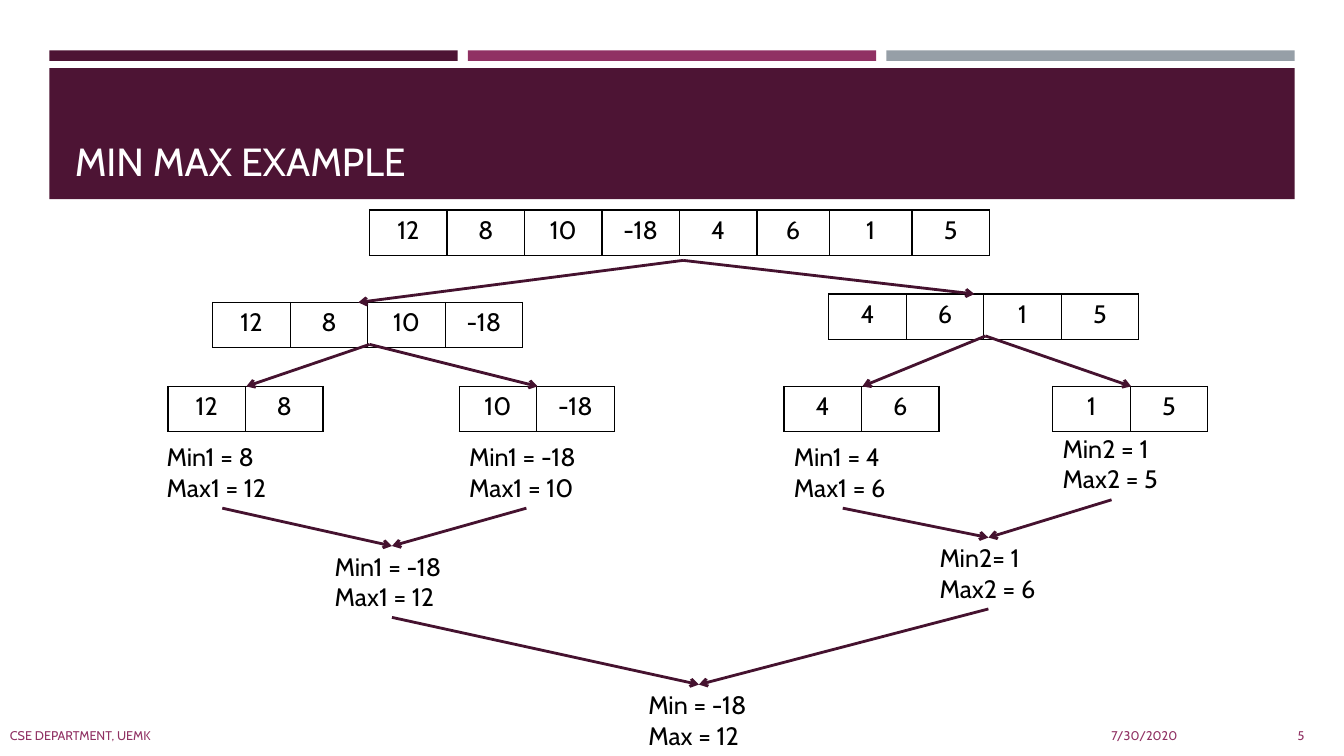
from collections import namedtuple
from lxml.etree import SubElement
from pptx import Presentation
from pptx.dml.color import RGBColor
from pptx.enum.shapes import MSO_CONNECTOR as Link, MSO_SHAPE as Shape
from pptx.enum.text import MSO_ANCHOR as Anchor, MSO_AUTO_SIZE as Fit, PP_ALIGN as Align
from pptx.oxml.ns import qn
from pptx.util import Inches, Pt

PLUM = RGBColor(0x4D, 0x14, 0x34)
ROSE = RGBColor(0x90, 0x31, 0x63)
GREY = RGBColor(0x96, 0x9F, 0xA7)
WINE = RGBColor(0x45, 0x12, 0x2F)
BLACK = RGBColor(0, 0, 0)
WHITE = RGBColor(255, 255, 255)
FONT = "Cabin"

# The slide is a grid of 120 columns by 90 rows.
WIDE, HIGH = Inches(13.333), Inches(7.5)
COL, ROW = WIDE / 120, HIGH / 90
CELL_W, CELL_H = 6.92, 5.4
NOTE_H = 8.5

Box = namedtuple("Box", "x y w h")


def emu(box):
    return [round(n * u) for n, u in zip(box, (COL, ROW, COL, ROW))]


def write(para, text, size, color, align=Align.LEFT):
    para.alignment = align
    run = para.add_run()
    run.text = text
    run.font.name, run.font.size = FONT, Pt(size)
    run.font.color.rgb = color


def bar(slide, box, color):
    rect = slide.shapes.add_shape(Shape.RECTANGLE, *emu(box))
    rect.shadow.inherit = False
    rect.fill.solid()
    rect.fill.fore_color.rgb = color
    rect.line.fill.background()


def label(slide, box, text, size, color, anchor, align=Align.LEFT):
    frame = slide.shapes.add_textbox(*emu(box)).text_frame
    frame.word_wrap = True
    frame.vertical_anchor = anchor
    write(frame.paragraphs[0], text, size, color, align)


def frame_cell(cell):
    """Draw a thin black border on all four sides of a cell."""
    props = cell._tc.get_or_add_tcPr()
    for side in ("a:lnL", "a:lnR", "a:lnT", "a:lnB"):
        line = SubElement(props, qn(side), w=str(Pt(1)))
        fill = SubElement(line, qn("a:solidFill"))
        SubElement(fill, qn("a:srgbClr"), val=str(BLACK))


def array(slide, x, y, values, widths=None):
    widths = widths or [CELL_W] * len(values)
    box = Box(x, y, sum(widths), CELL_H)
    table = slide.shapes.add_table(1, len(values), *emu(box)).table
    table.first_row = table.horz_banding = False
    for col, width in zip(table.columns, widths):
        col.width = round(width * COL)
    for cell, value in zip(table.rows[0].cells, values):
        frame_cell(cell)
        cell.fill.background()
        cell.margin_left = cell.margin_right = Inches(0.13)
        cell.margin_top = cell.margin_bottom = Inches(0.05)
        write(cell.text_frame.paragraphs[0], str(value), 18, BLACK, Align.CENTER)


def note(slide, x, y, width, low, high):
    shape = slide.shapes.add_textbox(*emu(Box(x, y, width, NOTE_H)))
    frame = shape.text_frame
    frame.word_wrap = False
    frame.auto_size = Fit.SHAPE_TO_FIT_TEXT
    write(frame.paragraphs[0], low, 18, BLACK)
    write(frame.add_paragraph(), high, 18, BLACK)
    return shape


def arrow(slide, x1=0, y1=0, x2=0, y2=0):
    link = slide.shapes.add_connector(Link.STRAIGHT, *emu((x1, y1, x2, y2)))
    link.line.color.rgb = WINE
    link.line.width = Pt(2)
    SubElement(link.line._get_or_add_ln(), qn("a:tailEnd"), type="arrow")
    SubElement(link._element.spPr, qn("a:effectLst"))
    return link


def merge(slide, parts, result):
    """Lead an arrow from the foot of each part to the head of the result."""
    for part in parts:
        link = arrow(slide)
        link.begin_connect(part, 2)
        link.end_connect(result, 0)


def header(slide, box):
    gap = 0.9
    width = (box.w - 2 * gap) / 3
    for i, color in enumerate((PLUM, ROSE, GREY)):
        bar(slide, Box(box.x + i * (width + gap), box.y, width, 1.25), color)
    band = Box(box.x, box.y + 2.1, box.w, box.h - 2.1)
    bar(slide, band, PLUM)
    title = Box(band.x + 1.4, band.y + 1.1, band.w - 2.8, band.h - 2.3)
    label(slide, title, "MIN MAX EXAMPLE", 28, WHITE, Anchor.BOTTOM)


def footer(slide, box):
    parts = (
        (0, 68, "CSE DEPARTMENT, UEMK", Align.LEFT),
        (78, 28, "7/30/2020", Align.RIGHT),
        (107, 10.35, "5", Align.RIGHT),
    )
    for x, width, text, align in parts:
        place = Box(box.x + x, box.y, width, box.h)
        label(slide, place, text, 9, ROSE, Anchor.MIDDLE, align)


def split(slide, box):
    """Halve the array down to pairs."""
    x, y = box.x, box.y
    data = [12, 8, 10, -18, 4, 6, 1, 5]
    array(slide, x + 19, y, data, [CELL_W] * 5 + [6.45, 7.4, CELL_W])
    array(slide, x + 5, y + 11, data[:4])
    array(slide, x + 60, y + 10, data[4:])
    for i, left in enumerate((1, 27, 56, 80)):
        array(slide, x + left, y + 21, data[2 * i:2 * i + 2])
    forks = (
        ((47, 6), (18, 11), (73, 10)),
        ((19, 16), (8, 21), (34, 21)),
        ((74, 15), (63, 21), (87, 21)),
    )
    for (x1, y1), *ends in forks:
        for x2, y2 in ends:
            arrow(slide, x + x1, y + y1, x + x2, y + y2)


def join(slide, box):
    """Merge the results of the pairs into the final answer."""
    notes = (
        (0, 1, 11.7, "Min1 = 8", "Max1 = 12"),
        (27, 1, 12, "Min1 = -18", "Max1 = 10"),
        (56, 1, 10.5, "Min1 = 4", "Max1 = 6"),
        (80, 0, 10.5, "Min2 = 1", "Max2 = 5"),
        (15, 14, 12, "Min1 = -18", "Max1 = 12"),
        (69, 13, 10.5, "Min2= 1", "Max2 = 6"),
        (43, 30.5, 10.8, "Min = -18", "Max = 12"),
    )
    a, b, c, d, left, right, final = [
        note(slide, box.x + x, box.y + y, *rest) for x, y, *rest in notes]
    merge(slide, (a, b), left)
    merge(slide, (c, d), right)
    merge(slide, (left, right), final)


def main():
    deck = Presentation()
    deck.slide_width, deck.slide_height = WIDE, HIGH
    slide = deck.slides.add_slide(deck.slide_layouts[6])
    header(slide, Box(4.4, 6, 111.2, 17.7))
    footer(slide, Box(0, 85.2, 120, 4.8))
    split(slide, Box(14, 25, 95, 26.4))
    join(slide, Box(14, 51, 95, 39))
    deck.save("out.pptx")


if __name__ == "__main__":
    main()
